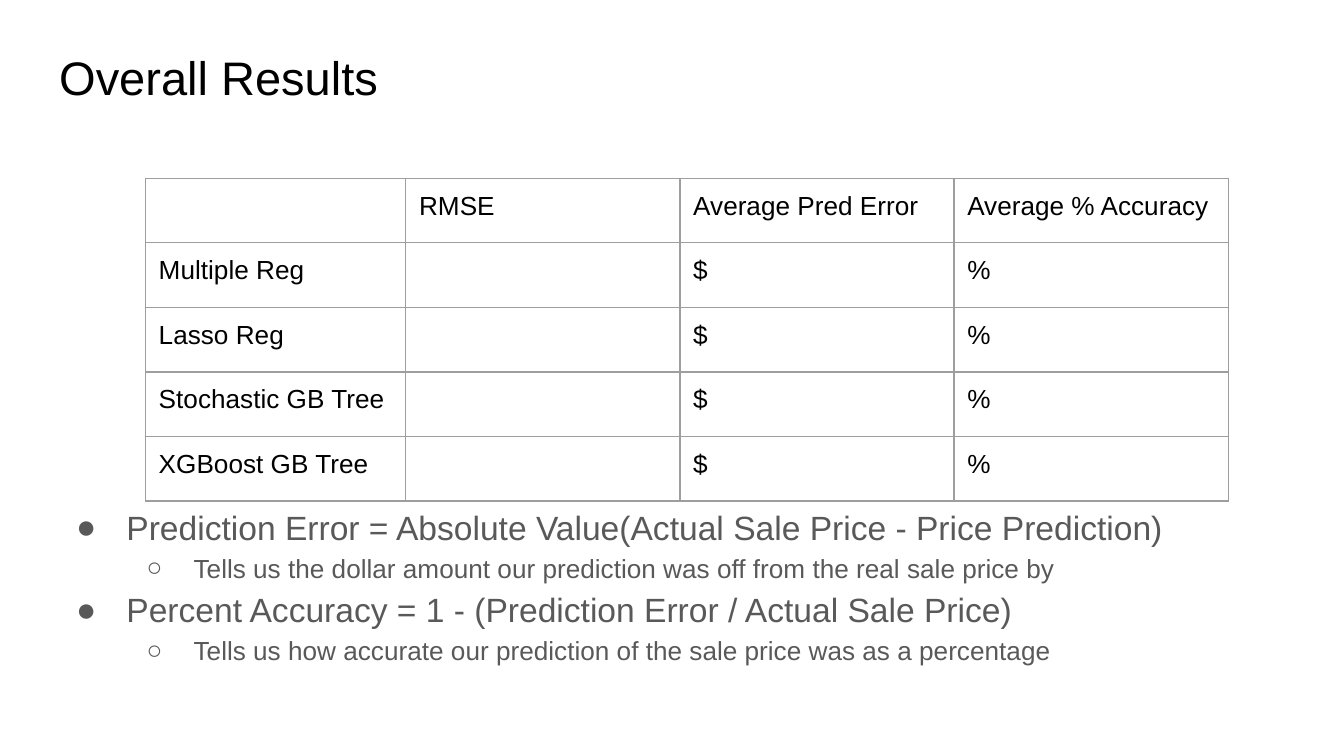
from lxml.etree import SubElement
from pptx import Presentation
from pptx.dml.color import RGBColor
from pptx.enum.text import MSO_ANCHOR
from pptx.oxml.ns import qn
from pptx.util import Cm, Pt

BLACK = RGBColor(0x00, 0x00, 0x00)
GREY = RGBColor(0x59, 0x59, 0x59)
BORDER = RGBColor(0x9E, 0x9E, 0x9E)
FONT = "Arial"
INSET = Cm(0.25)
MARGINS = dict.fromkeys(
    ("margin_left", "margin_right", "margin_top", "margin_bottom"), INSET)

HEADERS = ["", "RMSE", "Average Pred Error", "Average % Accuracy"]
MODELS = ["Multiple Reg", "Lasso Reg", "Stochastic GB Tree", "XGBoost GB Tree"]
NOTES = [
    (0, "Prediction Error = Absolute Value(Actual Sale Price - Price Prediction)"),
    (1, "Tells us the dollar amount our prediction was off from the real sale price by"),
    (0, "Percent Accuracy = 1 - (Prediction Error / Actual Sale Price)"),
    (1, "Tells us how accurate our prediction of the sale price was as a percentage"),
]
# Bullet, text size, left indent and hanging indent for each level
LEVELS = [("●", Pt(18), Cm(1.27), Cm(-0.95)),
          ("○", Pt(14), Cm(2.54), Cm(-0.89))]


def apply(target, values):
    for name, value in values.items():
        setattr(target, name, value)


def add_span(para, text, size, color):
    span = para.add_run()
    apply(span, {"text": text})
    apply(span.font, {"name": FONT, "size": size})
    span.font.color.rgb = color


def add_frame(page, box, anchor=MSO_ANCHOR.TOP):
    frame = page.shapes.add_textbox(*box).text_frame
    apply(frame, {"word_wrap": True, "vertical_anchor": anchor, **MARGINS})
    return frame


def add_title(page, box, text):
    frame = add_frame(page, box, MSO_ANCHOR.BOTTOM)
    add_span(frame.paragraphs[0], text, Pt(25.2), BLACK)


def add_borders(cell):
    properties = cell._tc.get_or_add_tcPr()
    fill = properties[0]
    for side in ("a:lnL", "a:lnR", "a:lnT", "a:lnB"):
        line = SubElement(properties, qn(side), w=str(Pt(0.75)))
        solid = SubElement(line, qn("a:solidFill"))
        SubElement(solid, qn("a:srgbClr"), val=str(BORDER))
    properties.append(fill)  # the fill has to follow the border lines


def add_results(page, box):
    rows = [HEADERS] + [[model, "", "$", "%"] for model in MODELS]
    table = page.shapes.add_table(len(rows), len(HEADERS), *box).table
    apply(table, {"first_row": False, "horz_banding": False})

    # A slightly narrower label column, the rest shared equally
    label_width = Cm(4.92)
    value_width = (box[2] - label_width) // (len(HEADERS) - 1)
    for index, column in enumerate(table.columns):
        column.width = value_width if index else label_width

    for r, values in enumerate(rows):
        for c, text in enumerate(values):
            cell = table.cell(r, c)
            apply(cell, MARGINS)
            cell.fill.background()
            add_borders(cell)
            para = cell.text_frame.paragraphs[0]
            if text:
                add_span(para, text, Pt(14), BLACK)
            else:
                # Keeps empty cells from stretching their row
                SubElement(para._p, qn("a:endParaRPr"), sz="1400")


def add_notes(page, box):
    frame = add_frame(page, box)
    for index, (level, text) in enumerate(NOTES):
        para = frame.add_paragraph() if index else frame.paragraphs[0]
        bullet, size, left, hanging = LEVELS[level]
        apply(para, {"level": level, "line_spacing": 1.15})
        properties = para._p.get_or_add_pPr()
        properties.set("marL", str(left))
        properties.set("indent", str(hanging))
        color = SubElement(properties, qn("a:buClr"))
        SubElement(color, qn("a:srgbClr"), val=str(GREY))
        SubElement(properties, qn("a:buFont"), typeface=FONT)
        SubElement(properties, qn("a:buChar"), char=bullet)
        add_span(para, text, size, GREY)


def main():
    deck = Presentation()
    apply(deck, {"slide_width": Cm(25.4), "slide_height": Cm(14.29)})
    page = deck.slides.add_slide(deck.slide_layouts[6])
    add_title(page, (Cm(0.87), Cm(0.64), Cm(23.67), Cm(1.6)), "Overall Results")
    add_results(page, (Cm(2.75), Cm(3.37), Cm(20.46), Cm(6.1)))
    add_notes(page, (Cm(0.87), Cm(9.22), Cm(23.67), Cm(4.14)))
    deck.save("out.pptx")


if __name__ == "__main__":
    main()
